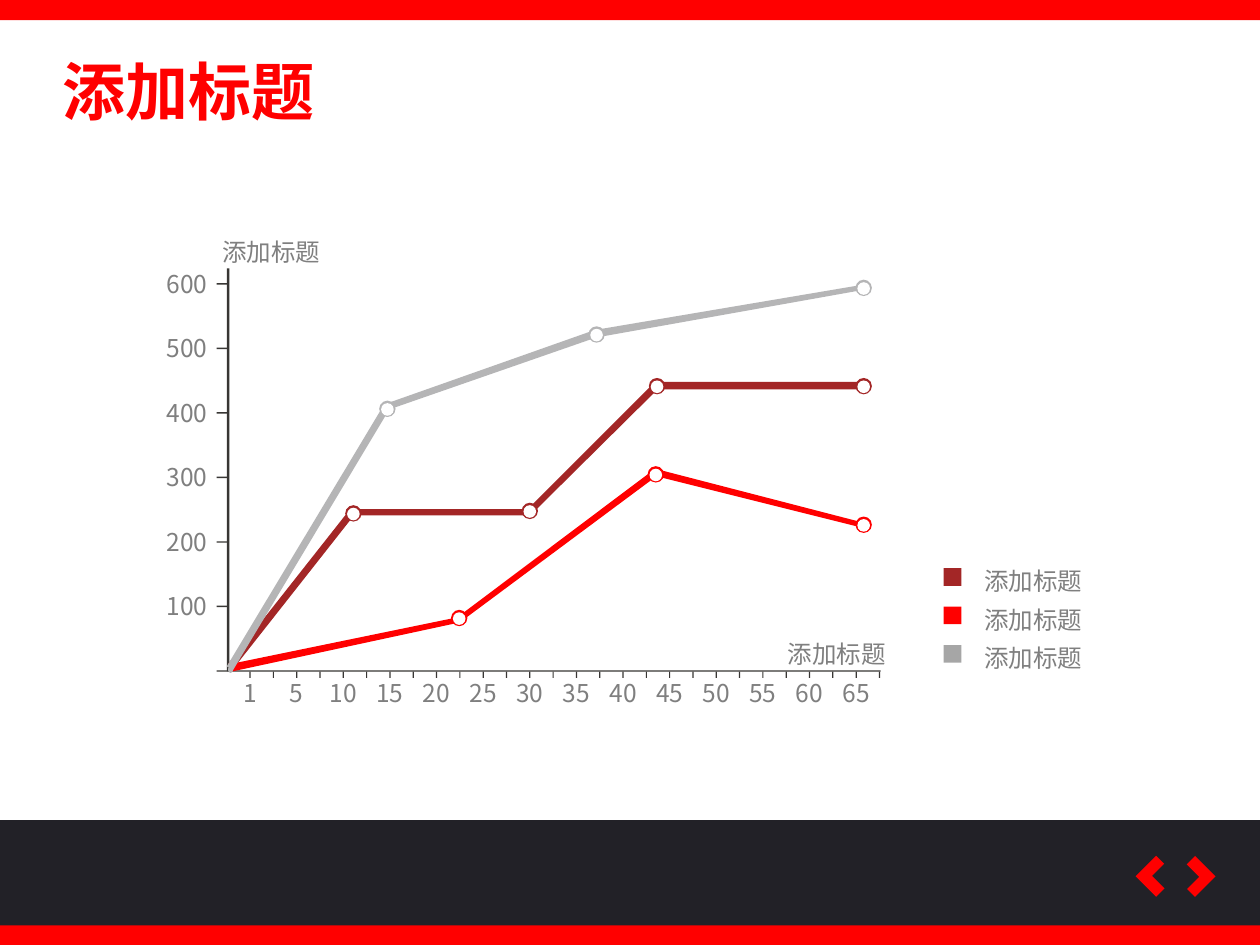
from pptx import Presentation
from pptx.dml.color import RGBColor
from pptx.enum.shapes import MSO_SHAPE
from pptx.enum.text import MSO_ANCHOR, PP_ALIGN
from pptx.util import Inches, Pt

RECT, OVAL, CORNER = MSO_SHAPE.RECTANGLE, MSO_SHAPE.OVAL, MSO_SHAPE.CORNER
CENTER, LEFT = PP_ALIGN.CENTER, PP_ALIGN.LEFT
MIDDLE = MSO_ANCHOR.MIDDLE

# The slide is a grid of 100 columns by 75 rows
COLUMNS, ROWS = 100, 75
CELL = Inches(0.1)

RED, MAROON, SILVER, GREY = "FF0000", "A32626", "B5B5B6", "A6A6A6"
WHITE, AXIS, LABEL, FOOTER = "FFFFFF", "383634", "7F7F7F", "222127"
CAPTION = "添加标题"


def color(hex_string):
    return RGBColor.from_string(hex_string)


def cells(count):
    return round(count * CELL)


class SlideBuilder:
    """Holds the text style and the current slide; lengths are grid cells."""

    font_name = "Noto Sans CJK SC"

    def __init__(self, slide):
        self.slide = slide

    def paint(self, shape, fill):
        shape.shadow.inherit = False
        shape.fill.solid()
        shape.fill.fore_color.rgb = color(fill)
        shape.line.fill.background()
        return shape

    def shape(self, kind, left, top, width, height, fill):
        added = self.slide.shapes.add_shape(
            kind, cells(left), cells(top), cells(width), cells(height))
        return self.paint(added, fill)

    def chevron(self, left, top, rotation):
        arrow = self.shape(CORNER, left, top, 2.3, 2.3, RED)
        arrow.adjustments[0], arrow.adjustments[1] = 0.41, 0.39
        arrow.rotation = rotation

    def polygon(self, points, fill):
        start, *rest = [(cells(x), cells(y)) for x, y in points]
        outline = self.slide.shapes.build_freeform(*start)
        outline.add_line_segments(rest, close=True)
        self.paint(outline.convert_to_shape(), fill)

    def marker(self, left, top, fill):
        self.shape(OVAL, left, top, 1.3, 1.3, fill)
        self.shape(OVAL, left + 0.15, top + 0.2, 1, 1, WHITE)

    def text(self, words, left, top, width, height, size=14, fill=LABEL,
             bold=False, align=CENTER, inset=0, wrap=True):
        box = self.slide.shapes.add_textbox(
            cells(left), cells(top), cells(width), cells(height))
        frame = box.text_frame
        frame.word_wrap = wrap
        frame.vertical_anchor = MIDDLE
        frame.margin_left = frame.margin_right = cells(inset)
        frame.margin_top = frame.margin_bottom = 0
        frame.text = words
        paragraph = frame.paragraphs[0]
        paragraph.alignment = align
        font = paragraph.runs[0].font
        font.name, font.size, font.bold = self.font_name, Pt(size), bold
        font.color.rgb = color(fill)


# Each series: colour, band outline, top left corners of its markers
SERIES = [
    (MAROON,
     [(18.5, 53.1), (18.1, 52.7), (27.8, 40.4), (41.9, 40.4), (52, 30.3),
      (68.5, 30.3), (68.5, 30.9), (52.2, 30.9), (42.1, 40.9), (28.1, 40.9)],
     [(27.4, 40.1), (41.4, 39.9), (51.5, 30), (67.9, 30)]),
    (RED,
     [(18.4, 53.3), (18.3, 52.7), (36.3, 49), (52, 37.2), (68.6, 41.5),
      (68.5, 41.9), (52.1, 37.8), (36.5, 49.4)],
     [(35.8, 48.4), (51.4, 37), (67.9, 41)]),
    (SILVER,
     [(18.5, 53.2), (18, 52.9), (30.5, 32.1), (47.2, 26.2), (68.5, 22.6),
      (68.6, 23), (47.3, 26.8), (30.9, 32.5)],
     [(30.1, 31.8), (46.7, 25.9), (67.9, 22.2)]),
]


def draw_frame(page):
    # Bands at the top and bottom, with the two navigation arrows
    page.shape(RECT, 0, 73.4, COLUMNS, 1.6, RED)
    page.shape(RECT, 0, 65.1, COLUMNS, 8.35, FOOTER)
    page.chevron(90.6, 68.4, 45)
    page.chevron(93.7, 68.4, 225)
    page.shape(RECT, 0, 0, COLUMNS, 1.6, RED)
    page.text(CAPTION, 4, 3.6, 22.2, 7.1, size=36, fill=RED, bold=True,
              align=LEFT, inset=1, wrap=False)


def draw_chart(page):
    # Axis titles and axis lines
    page.text(CAPTION, 15.5, 18.3, 12.1, 3.4)
    page.text(CAPTION, 60.8, 50.2, 11.2, 3.4)
    page.shape(RECT, 18, 21.3, 0.2, 32, AXIS)
    page.shape(RECT, 18.1, 53.2, 51.8, 0.12, AXIS)

    # Series bands, then their markers on top
    for fill, outline, _ in SERIES:
        page.polygon(outline, fill)
    for fill, _, corners in SERIES:
        for left, top in corners:
            page.marker(left, top, fill)
    page.shape(OVAL, 18.1, 52.9, 0.4, 0.5, SILVER)

    # Value axis: a tick every hundred, labelled above zero
    for step in range(7):
        rise = 5.12 * step
        page.shape(RECT, 17.2, 53.2 - rise, 0.9, 0.12, AXIS)
        if step:
            page.text(str(100 * step), 12, 51.82 - rise, 5.7, 2.8)

    # Category axis: two ticks for each label
    for tick in range(28):
        page.shape(RECT, 19.8 + 1.85 * tick, 53.3, 0.1, 0.5, AXIS)
    for step, value in enumerate([1, *range(5, 70, 5)]):
        page.text(str(value), 17.1 + 3.7 * step, 53.6, 5.5, 2.8)


def draw_legend(page):
    for row, fill in enumerate((MAROON, RED, GREY)):
        top = 45.1 + 3.05 * row
        page.shape(RECT, 74.9, top, 1.4, 1.4, fill)
        page.text(CAPTION, 76.1, top - 0.7, 11.8, 3.4)


def main():
    deck = Presentation()
    deck.slide_width, deck.slide_height = cells(COLUMNS), cells(ROWS)
    page = SlideBuilder(deck.slides.add_slide(deck.slide_layouts[6]))
    draw_frame(page)
    draw_chart(page)
    draw_legend(page)
    deck.save("out.pptx")


if __name__ == "__main__":
    main()
